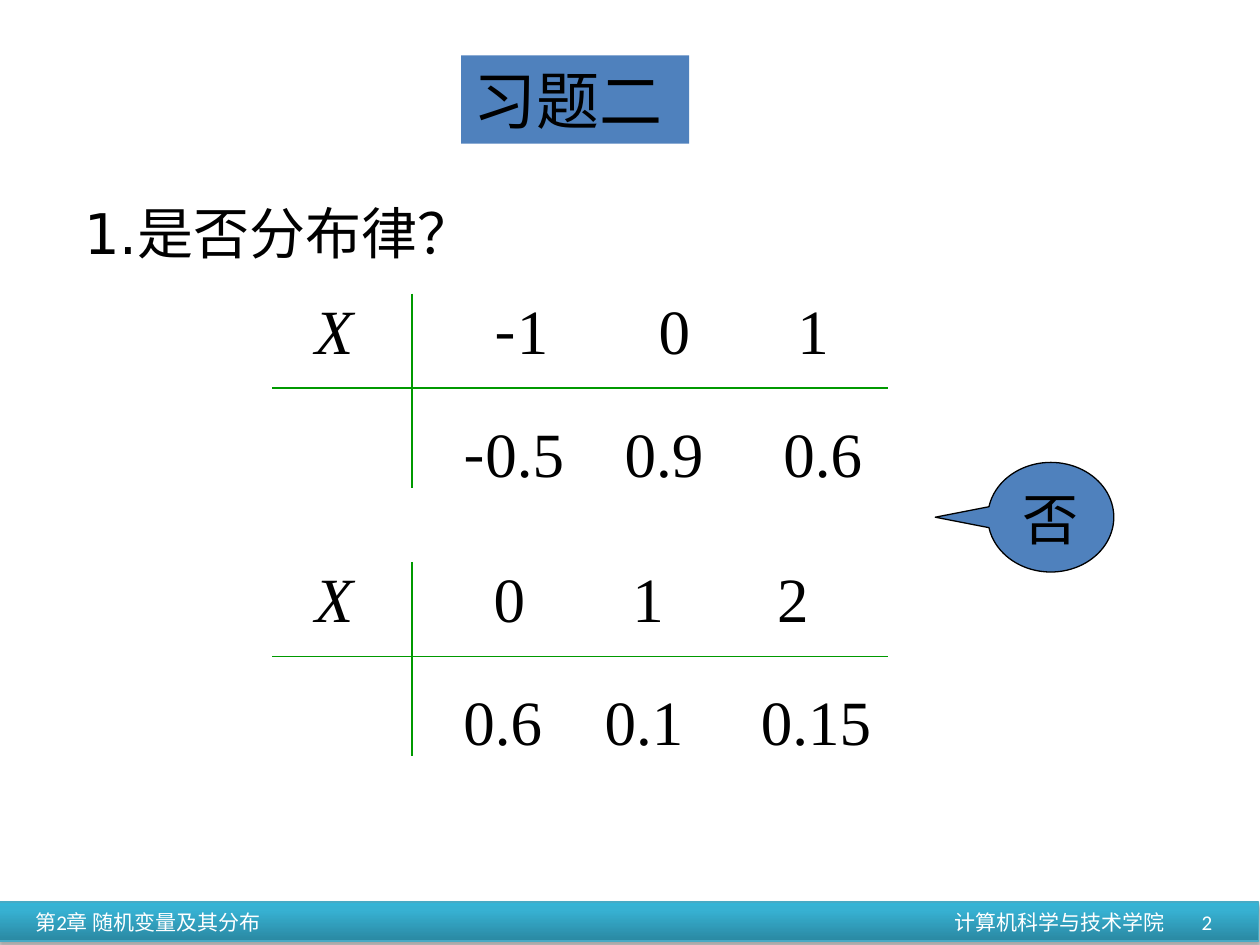
from lxml.etree import SubElement
from copy import deepcopy
from pptx import Presentation
from pptx.dml.color import RGBColor
from pptx.enum.shapes import MSO_CONNECTOR, MSO_SHAPE
from pptx.enum.text import MSO_ANCHOR, PP_ALIGN
from pptx.oxml.ns import qn
from pptx.util import Inches, Pt

BLACK = RGBColor(0x00, 0x00, 0x00)
WHITE = RGBColor(0xFF, 0xFF, 0xFF)
BLUE = RGBColor(0x4F, 0x81, 0xBD)
GREEN = RGBColor(0x00, 0x99, 0x00)
BAR_EDGE = RGBColor(0x46, 0xAA, 0xC5)
BAR_STOPS = [
    (0, RGBColor(0x2A, 0x88, 0xA2)),
    (0.8, RGBColor(0x37, 0xB1, 0xD2)),
    (1, RGBColor(0x34, 0xB4, 0xD6)),
]
SLIDE_WIDTH, SLIDE_HEIGHT = Inches(10), Inches(7.5)
COLUMNS, ROWS = 100, 75
SERIF = {"name": "Times New Roman", "size": Pt(36)}
SANS = {"name": "DejaVu Sans", "size": Pt(32)}
SMALL = {"name": "Calibri", "size": Pt(12)}
MINUS_FONT = "Noto Sans CJK SC"


def x(columns):
    """Turn grid columns into a length."""
    return round(SLIDE_WIDTH * columns / COLUMNS)


def y(rows):
    """Turn grid rows into a length."""
    return round(SLIDE_HEIGHT * rows / ROWS)


def place(box):
    """Turn a grid box into left, top, width and height."""
    left, top, width, height = box
    return x(left), y(top), x(width), y(height)


def write(holder, pieces, font, color=BLACK, align=PP_ALIGN.LEFT, tabs=(), **frame_format):
    """Write one paragraph of (text, font changes) pieces."""
    frame = holder.text_frame
    settings = {"word_wrap": True, "vertical_anchor": MSO_ANCHOR.TOP, **frame_format}
    for name, value in settings.items():
        setattr(frame, name, value)
    paragraph = frame.paragraphs[0]
    paragraph.alignment = align
    if tabs:
        tab_list = SubElement(paragraph._p.get_or_add_pPr(), qn("a:tabLst"))
        for position, side in tabs:
            SubElement(tab_list, qn("a:tab"), pos=str(x(position)), algn=side)
    for text, changes in pieces:
        run = paragraph.add_run()
        run.text = text
        for name, value in {**font, **changes}.items():
            setattr(run.font, name, value)
        run.font.color.rgb = color


def add_rule(slide, start, end):
    """Draw a thin green rule between two grid points."""
    rule = slide.shapes.add_connector(
        MSO_CONNECTOR.STRAIGHT, x(start[0]), y(start[1]), x(end[0]), y(end[1])
    )
    rule.line.color.rgb = GREEN
    rule.line.width = Pt(0.75)
    SubElement(rule._element.spPr, qn("a:effectLst"))


def number_pieces(numbers):
    """Join numbers with tabs, giving each minus sign its own font."""
    pieces = []
    for index, number in enumerate(numbers):
        if index:
            pieces.append(("\t", {}))
        if number.startswith("-"):
            pieces.append(("-", {"name": MINUS_FONT}))
        pieces.append((number.lstrip("-"), {}))
    return pieces


def add_distribution(slide, box, values, value_tabs, chances, chance_tabs):
    """Draw a distribution: values above the rule, probabilities below."""
    left, top, width, height = box
    stem, middle = left + 11.1, top + 7.5
    add_rule(slide, (stem, top), (stem, top + height))
    add_rule(slide, (left, middle), (left + width, middle))
    heading = [("X", {"italic": True}), ("\t", {})] + number_pieces(values)
    lines = [
        ((left + 2.4, top - 0.7, 52, 7), heading, value_tabs),
        ((left + 14.2, top + 9.1, 34.7, 7), number_pieces(chances), chance_tabs),
    ]
    for line_box, pieces, positions in lines:
        write(
            slide.shapes.add_textbox(*place(line_box)), pieces, SERIF,
            tabs=[(position, "l") for position in positions],
            vertical_anchor=MSO_ANCHOR.BOTTOM,
        )


def add_title(slide, box):
    """Draw the blue title block."""
    title = slide.shapes.add_shape(MSO_SHAPE.RECTANGLE, *place(box))
    title.shadow.inherit = False
    title.fill.solid()
    title.fill.fore_color.rgb = BLUE
    title.line.fill.background()
    write(title, [("习题二", {})], SERIF)


def add_question(slide, box):
    """Write the question."""
    question = slide.shapes.add_textbox(*place(box))
    write(question, [("1.是否分布律？", {})], SANS, word_wrap=False)


def add_answer(slide, box):
    """Draw the answer callout pointing left."""
    answer = slide.shapes.add_shape(MSO_SHAPE.OVAL_CALLOUT, *place(box))
    answer.adjustments[0], answer.adjustments[1] = -0.917, 0
    answer.shadow.inherit = False
    answer.fill.solid()
    answer.fill.fore_color.rgb = BLUE
    answer.line.color.rgb = BLACK
    answer.line.width = Pt(0.75)
    write(answer, [("否", {})], SANS, align=PP_ALIGN.CENTER)


def add_footer(slide, box):
    """Draw the gradient bar with chapter, school and page number."""
    bar = slide.shapes.add_shape(MSO_SHAPE.RECTANGLE, *place(box))
    bar.fill.gradient()
    bar.fill.gradient_angle = 90
    stop_list = bar._element.spPr.find(qn("a:gradFill")).find(qn("a:gsLst"))
    stop_list.append(deepcopy(stop_list[-1]))
    for stop, (position, color) in zip(bar.fill.gradient_stops, BAR_STOPS):
        stop.position = position
        stop.color.rgb = color
    bar.line.color.rgb = BAR_EDGE
    bar.line.width = Pt(0.75)
    bar.shadow.inherit = False
    shadow = SubElement(
        bar._element.spPr.find(qn("a:effectLst")), qn("a:outerShdw"),
        blurRad=str(Pt(3.1)), dist=str(Pt(1.8)), dir="5400000", rotWithShape="0",
    )
    shade = SubElement(shadow, qn("a:srgbClr"), val=str(BLACK))
    SubElement(shade, qn("a:alpha"), val="35000")
    write(
        bar, [("第2章 随机变量及其分布\t计算机科学与技术学院", {})], SMALL, WHITE,
        tabs=[(89.6, "r")], vertical_anchor=MSO_ANCHOR.MIDDLE, margin_left=x(2.9),
    )
    left, top, width, height = box
    page = slide.shapes.add_textbox(*place((left + 74, top - 0.4, 23.3, 4)))
    write(page, [("2", {})], SMALL, WHITE, PP_ALIGN.RIGHT, vertical_anchor=MSO_ANCHOR.MIDDLE)


def main():
    """Build and save the slide."""
    deck = Presentation()
    deck.slide_width, deck.slide_height = SLIDE_WIDTH, SLIDE_HEIGHT
    slide = deck.slides.add_slide(deck.slide_layouts[6])
    add_footer(slide, (-0.1, 71.6, 100, 3.1))
    add_title(slide, (36.6, 4.4, 18.1, 7))
    add_question(slide, (5.7, 15.3, 33.1, 6.4))
    distributions = [
        (["-1", "0", "1"], (14.3, 27.3, 38.3), ["-0.5", "0.9", "0.6"], (12.8, 25.4)),
        (["0", "1", "2"], (14.2, 25.2, 36.7), ["0.6", "0.1", "0.15"], (11.2, 23.6)),
    ]
    for index, distribution in enumerate(distributions):
        add_distribution(slide, (21.6, 23.3 + 21.3 * index, 48.9, 15.4), *distribution)
    add_answer(slide, (78.4, 36.7, 10, 8.7))
    deck.save("out.pptx")


if __name__ == "__main__":
    main()
